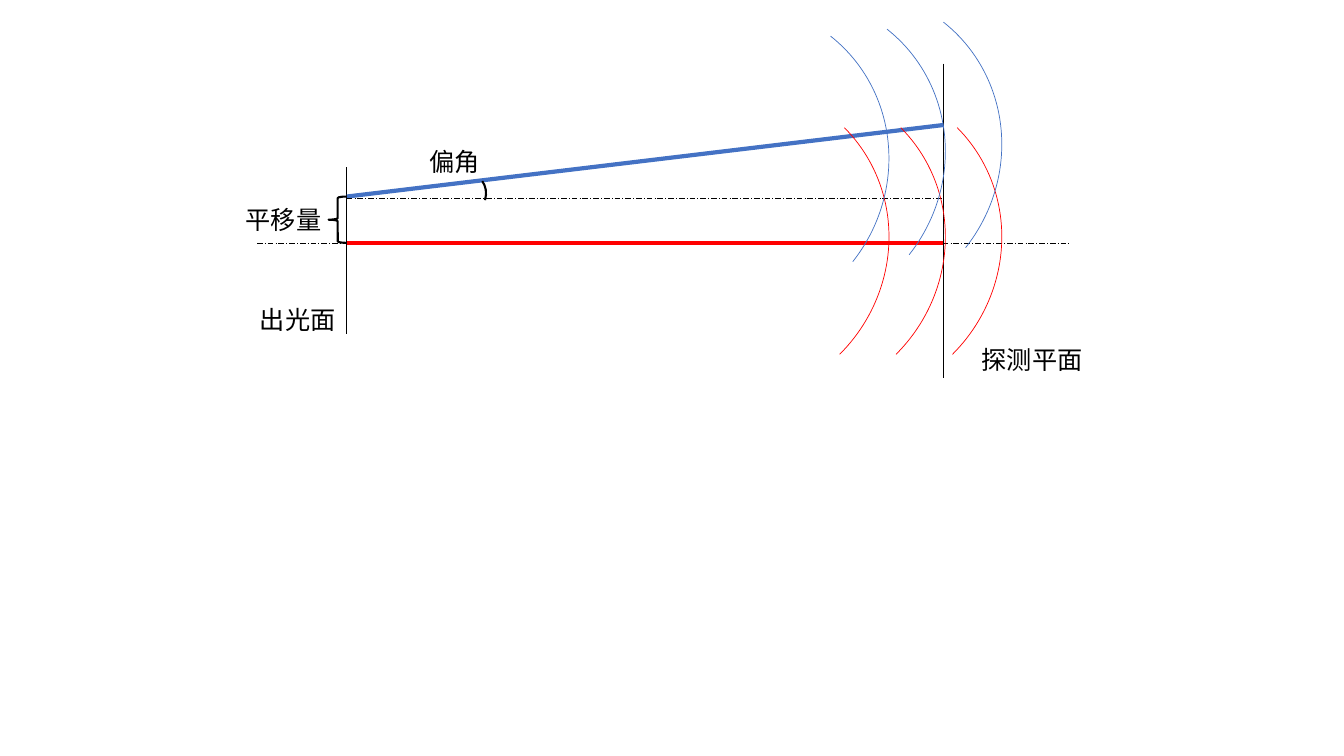
from dataclasses import dataclass

from lxml.etree import SubElement
from pptx import Presentation
from pptx.dml.color import RGBColor
from pptx.dml.line import LineFormat
from pptx.enum.dml import MSO_LINE as Dash
from pptx.enum.shapes import MSO_CONNECTOR as Connector, MSO_SHAPE as Preset
from pptx.enum.text import MSO_AUTO_SIZE as AutoSize
from pptx.oxml.ns import qn
from pptx.shapes.shapetree import GroupShapes
from pptx.util import Pt

BLACK, RED, BLUE = "000000", "FF0000", "4472C4"
FONT = "Noto Sans CJK SC"
EXIT_X, DETECTOR_X = 247.7, 673.9
AXIS_Y, SHIFTED_Y, BEAM_Y = 173.5, 141.8, 140.4


@dataclass
class Ray:
    start: tuple[float, float]
    end: tuple[float, float]
    color: str = BLACK
    width: float = 0.5
    dash: Dash | None = None


@dataclass
class Label:
    text: str
    left: float
    top: float
    width: float


@dataclass
class Curve:
    preset: Preset
    left: float
    top: float
    width: float
    height: float
    color: str = BLACK
    weight: float = 1.5
    rotation: float = 0
    adjustments: tuple[float, ...] = ()


@dataclass
class Wave:
    left: float
    top: float
    rise: float
    rotation: float
    color: str


RAYS = [
    Ray((183.6, AXIS_Y), (764.6, AXIS_Y), dash=Dash.LONG_DASH_DOT),
    Ray((EXIT_X, 119.5), (EXIT_X, 238.3)),
    Ray((DETECTOR_X, 45.4), (DETECTOR_X, 270)),
    Ray((EXIT_X, AXIS_Y), (DETECTOR_X, AXIS_Y), RED, 3),
    Ray((EXIT_X, BEAM_Y), (DETECTOR_X, 89.3), BLUE, 3),
    Ray((EXIT_X, SHIFTED_Y), (DETECTOR_X, SHIFTED_Y), dash=Dash.LONG_DASH_DOT),
]
WAVES = [
    Wave(408.2, 56.9, 0, 45.1, RED),
    Wave(408.7, 0.7, 5, 38.3, BLUE),
]
WAVE_STEP = 40.3
WAVEFRONTS = [
    Curve(Preset.ARC, wave.left + i * WAVE_STEP, wave.top - i * wave.rise,
          224.6, 233.3, wave.color, 0.5, wave.rotation)
    for wave in WAVES for i in range(3)
]
MARKS = [
    Curve(Preset.LEFT_BRACE, 234.7, BEAM_Y, 13, AXIS_Y - BEAM_Y),
    Curve(Preset.ARC, 321.8, 124.6, 25.2, 29.5, rotation=16.8,
          adjustments=(179.172, 0)),
]
LABELS = [
    Label("出光面", 178.6, 213.8, 69.1),
    Label("探测平面", 694.1, 242.6, 87.1),
    Label("平移量", 168.5, 142.6, 69.1),
    Label("偏角", 299.5, 100.8, 51.1),
]


def rgb(color: str) -> RGBColor:
    return RGBColor.from_string(color)


def apply(target: object, values: dict) -> None:
    for name, value in values.items():
        setattr(target, name, value)


def style_line(line: LineFormat, color: str, width: float,
               dash: Dash | None = None) -> None:
    line.fill.solid()
    line.color.rgb = rgb(color)
    apply(line, {"width": Pt(width), "dash_style": dash})


def draw_ray(diagram: GroupShapes, ray: Ray) -> None:
    ends = (Pt(v) for v in (*ray.start, *ray.end))
    connector = diagram.add_connector(Connector.STRAIGHT, *ends)
    style_line(connector.line, ray.color, ray.width, ray.dash)
    SubElement(connector.line._get_or_add_ln().getparent(), qn("a:effectLst"))


def draw_curve(diagram: GroupShapes, curve: Curve) -> None:
    frame = (curve.left, curve.top, curve.width, curve.height)
    outline = diagram.add_shape(curve.preset, *(Pt(v) for v in frame))
    outline.shadow.inherit = False
    outline.fill.background()
    outline.rotation = curve.rotation
    for i, value in enumerate(curve.adjustments):
        outline.adjustments[i] = value
    style_line(outline.line, curve.color, curve.weight)


def draw_label(diagram: GroupShapes, label: Label) -> None:
    frame = (label.left, label.top, label.width, 29.1)
    caption = diagram.add_textbox(*(Pt(v) for v in frame)).text_frame
    apply(caption, {"word_wrap": False, "auto_size": AutoSize.SHAPE_TO_FIT_TEXT})
    run = caption.paragraphs[0].add_run()
    run.text = label.text
    apply(run.font, {"name": FONT, "size": Pt(18)})
    run.font.color.rgb = rgb(BLACK)
    SubElement(run.font._element, qn("a:ea"), typeface=FONT)


def main() -> None:
    deck = Presentation()
    apply(deck, {"slide_width": Pt(960), "slide_height": Pt(540)})
    slide = deck.slides.add_slide(deck.slide_layouts[6])
    diagram = slide.shapes.add_group_shape().shapes
    for ray in RAYS:
        draw_ray(diagram, ray)
    for curve in WAVEFRONTS + MARKS:
        draw_curve(diagram, curve)
    for label in LABELS:
        draw_label(diagram, label)
    deck.save("out.pptx")


if __name__ == "__main__":
    main()
